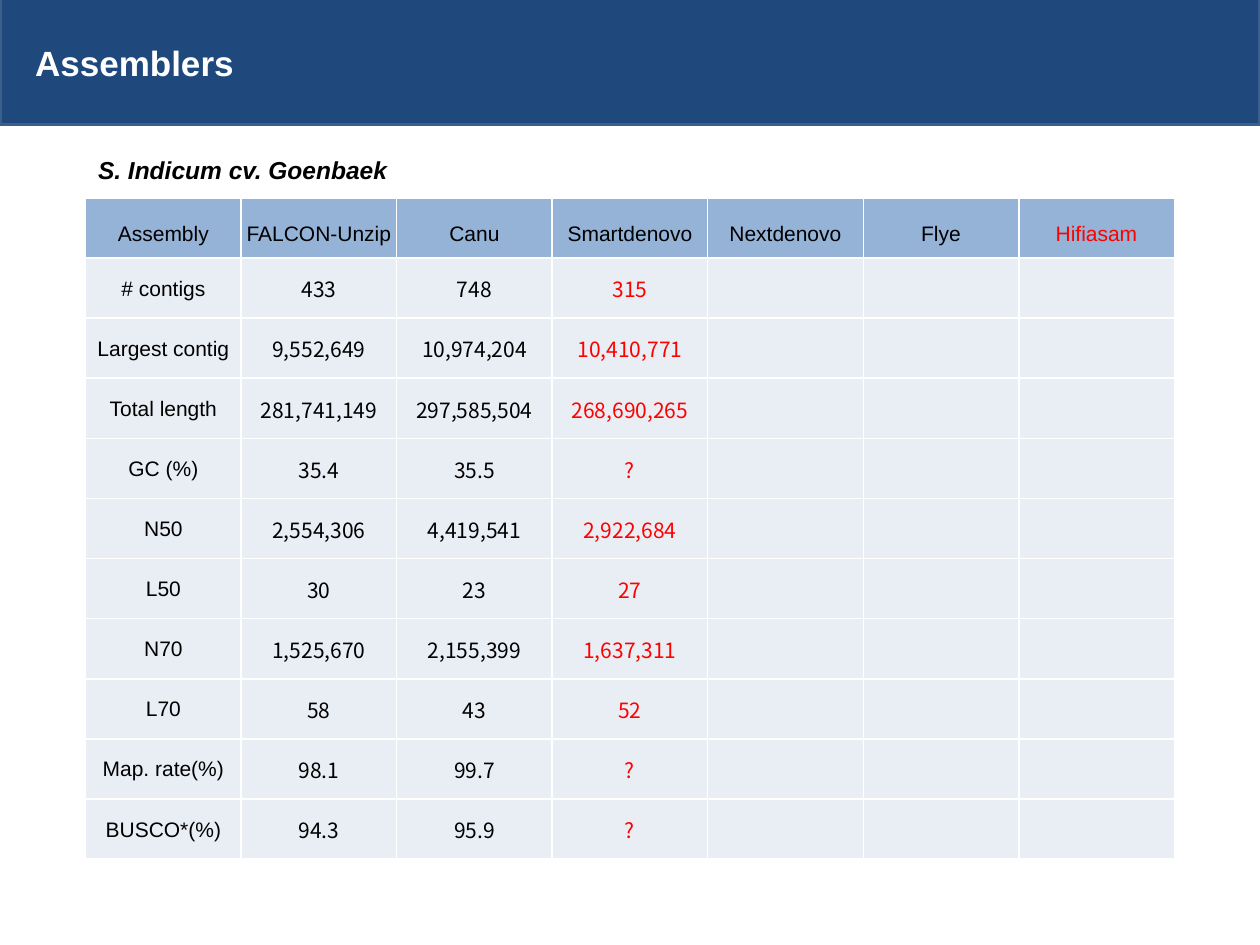
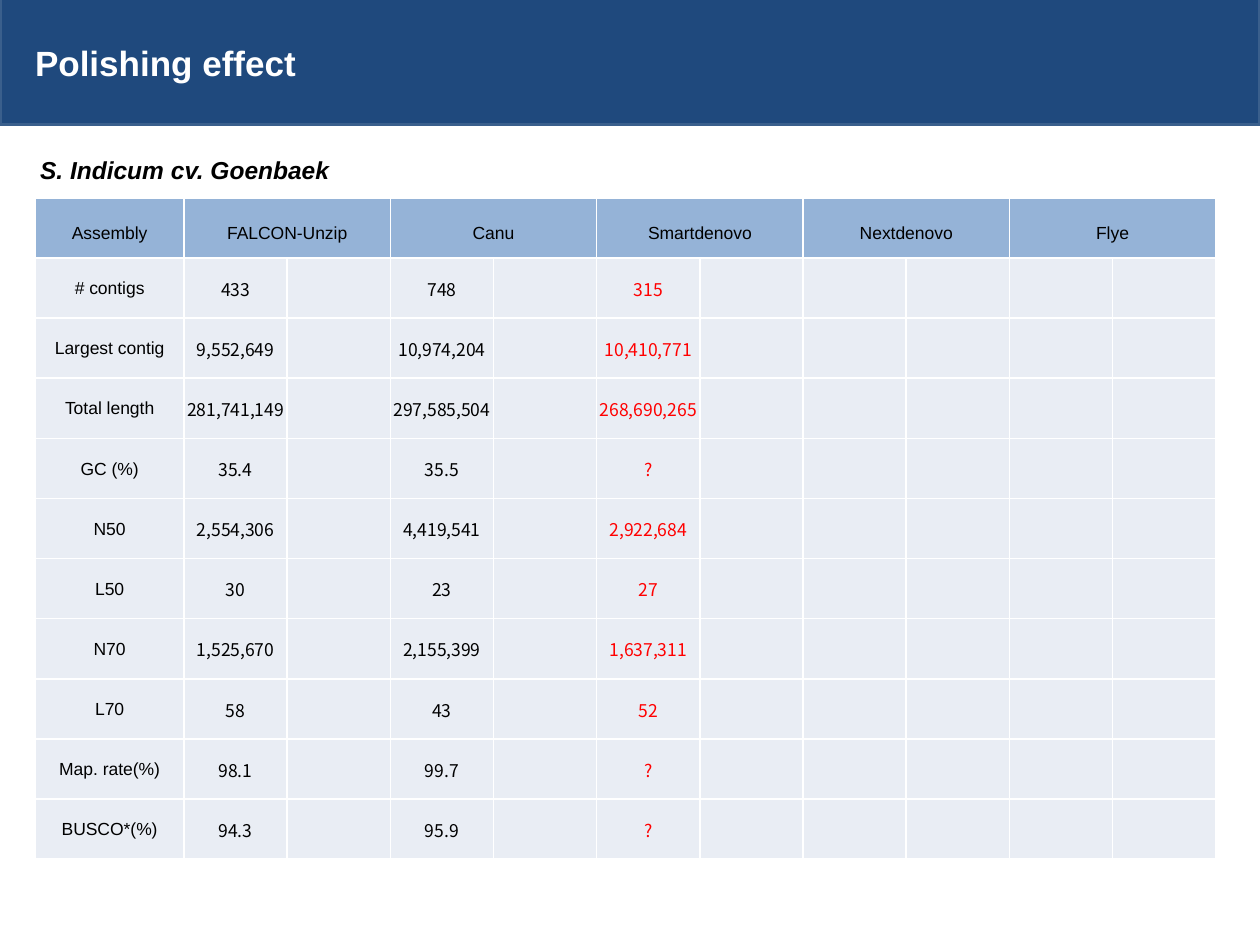
from lxml.etree import SubElement
from pptx import Presentation
from pptx.dml.color import RGBColor
from pptx.enum.shapes import MSO_SHAPE
from pptx.enum.text import MSO_ANCHOR, PP_ALIGN
from pptx.oxml.ns import qn
from pptx.util import Inches, Pt

NAVY, NAVY_EDGE = "1F497D", "3A5F8C"
HEADER_BLUE, BODY_GREY = "95B3D7", "E9EDF4"
WHITE, BLACK, RED = "FFFFFF", "000000", "FF0000"
LABEL_FONT, NUMBER_FONT = "Arial", "Noto Sans CJK KR"
CULTIVAR = "S. Indicum cv. Goenbaek"
TABLE_TOP, TABLE_HEIGHT = 1.57, 5.25
ASSEMBLERS = ["FALCON-Unzip", "Canu", "Smartdenovo", "Nextdenovo", "Flye"]
HIGHLIGHTED = "Smartdenovo"
METRICS = [
    ("# contigs", "433", "748", "315"),
    ("Largest contig", "9,552,649", "10,974,204", "10,410,771"),
    ("Total length", "281,741,149", "297,585,504", "268,690,265"),
    ("GC (%)", "35.4", "35.5", "?"),
    ("N50", "2,554,306", "4,419,541", "2,922,684"),
    ("L50", "30", "23", "27"),
    ("N70", "1,525,670", "2,155,399", "1,637,311"),
    ("L70", "58", "43", "52"),
    ("Map. rate(%)", "98.1", "99.7", "?"),
    ("BUSCO*(%)", "94.3", "95.9", "?"),
]


def rgb(color):
    """Turn a hex string into a colour."""
    return RGBColor.from_string(color)


def write(frame, text, size, color=BLACK, font=LABEL_FONT, bold=False,
          italic=False, align=PP_ALIGN.LEFT, spacing=None):
    """Put one formatted paragraph into a text frame."""
    paragraph = frame.paragraphs[0]
    paragraph.alignment = align
    paragraph.line_spacing = spacing
    run = paragraph.add_run()
    run.text = text
    run.font.size, run.font.name = Pt(size), font
    run.font.bold, run.font.italic = bold, italic
    run.font.color.rgb = rgb(color)


def add_text(slide, box, text, size, wrap=True, **style):
    """Add a vertically centred text box."""
    frame = slide.shapes.add_textbox(*map(Inches, box)).text_frame
    frame.word_wrap = wrap
    frame.vertical_anchor = MSO_ANCHOR.MIDDLE
    write(frame, text, size, **style)


def add_title_band(slide, title, box=(0, -0.03, 10, 1.02)):
    """Draw the navy band and its title."""
    left, top, width, height = box
    band = slide.shapes.add_shape(MSO_SHAPE.RECTANGLE, *map(Inches, box))
    band.shadow.inherit = False
    band.fill.solid()
    band.fill.fore_color.rgb = rgb(NAVY)
    band.line.color.rgb = rgb(NAVY_EDGE)
    band.line.width = Pt(2)
    add_text(slide, (left + 0.18, top + 0.18, width - 1.64, height - 0.33),
             title, 20, color=WHITE, bold=True)


def style_cell(cell, fill):
    """Give a cell white borders, a fill and tight margins."""
    properties = cell._tc.get_or_add_tcPr()
    for side in ("lnL", "lnR", "lnT", "lnB"):
        border = SubElement(properties, qn(f"a:{side}"), w=str(Pt(1)))
        paint = SubElement(border, qn("a:solidFill"))
        SubElement(paint, qn("a:srgbClr"), val=WHITE)
    cell.fill.solid()
    cell.fill.fore_color.rgb = rgb(fill)
    cell.vertical_anchor = MSO_ANCHOR.MIDDLE
    cell.margin_left = cell.margin_right = cell.margin_top = Inches(0.01)
    cell.margin_bottom = 0


def add_metrics_table(slide, box, assemblers, label_width, span, size, red_headers=()):
    """Tabulate the metrics, each assembler covering span columns."""
    left, top, width, height = box
    row_count, column_count = len(METRICS) + 1, 1 + span * len(assemblers)
    table = slide.shapes.add_table(row_count, column_count, *map(Inches, box)).table
    table.first_row = table.horz_banding = False
    for column in table.columns:
        column.width = Inches((width - label_width) / (column_count - 1))
    table.columns[0].width = Inches(label_width)
    for index, row in enumerate(table.rows):
        row.height = Inches(height / row_count)
        for cell in row.cells:
            style_cell(cell, BODY_GREY if index else HEADER_BLUE)

    def fill_in(row, column, text, **style):
        write(table.cell(row, column).text_frame, text, size,
              align=PP_ALIGN.CENTER, **style)

    fill_in(0, 0, "Assembly", spacing=1.5)
    for index, assembler in enumerate(assemblers):
        first = 1 + index * span
        if span > 1:
            table.cell(0, first).merge(table.cell(0, first + span - 1))
        fill_in(0, first, assembler, spacing=1.5,
                color=RED if assembler in red_headers else BLACK)
    for row, (metric, *values) in enumerate(METRICS, 1):
        fill_in(row, 0, metric)
        for index, (assembler, value) in enumerate(zip(assemblers, values)):
            fill_in(row, 1 + index * span, value, font=NUMBER_FONT,
                    color=RED if assembler == HIGHLIGHTED else BLACK)


def add_comparison_slide(deck, title, cultivar_left, table_left, table_width, **table_options):
    """Build a slide with title band, cultivar name and metrics table."""
    slide = deck.slides.add_slide(deck.slide_layouts[6])
    add_title_band(slide, title)
    add_metrics_table(slide, (table_left, TABLE_TOP, table_width, TABLE_HEIGHT),
                      **table_options)
    add_text(slide, (cultivar_left, TABLE_TOP - 0.39, 2.5, 0.34), CULTIVAR, 14,
             wrap=False, bold=True, italic=True)


def main():
    """Build and save the deck."""
    deck = Presentation()
    deck.slide_width, deck.slide_height = Inches(10), Inches(7.5)
    add_comparison_slide(deck, "Assemblers", 0.68, 0.68, 8.64,
                         assemblers=ASSEMBLERS + ["Hifiasam"], label_width=8.64 / 7,
                         span=1, size=12, red_headers=("Hifiasam",))
    add_comparison_slide(deck, "Polishing effect", 0.22, 0.28, 9.37,
                         assemblers=ASSEMBLERS, label_width=1.18, span=2, size=10)
    deck.save("out.pptx")


if __name__ == "__main__":
    main()
